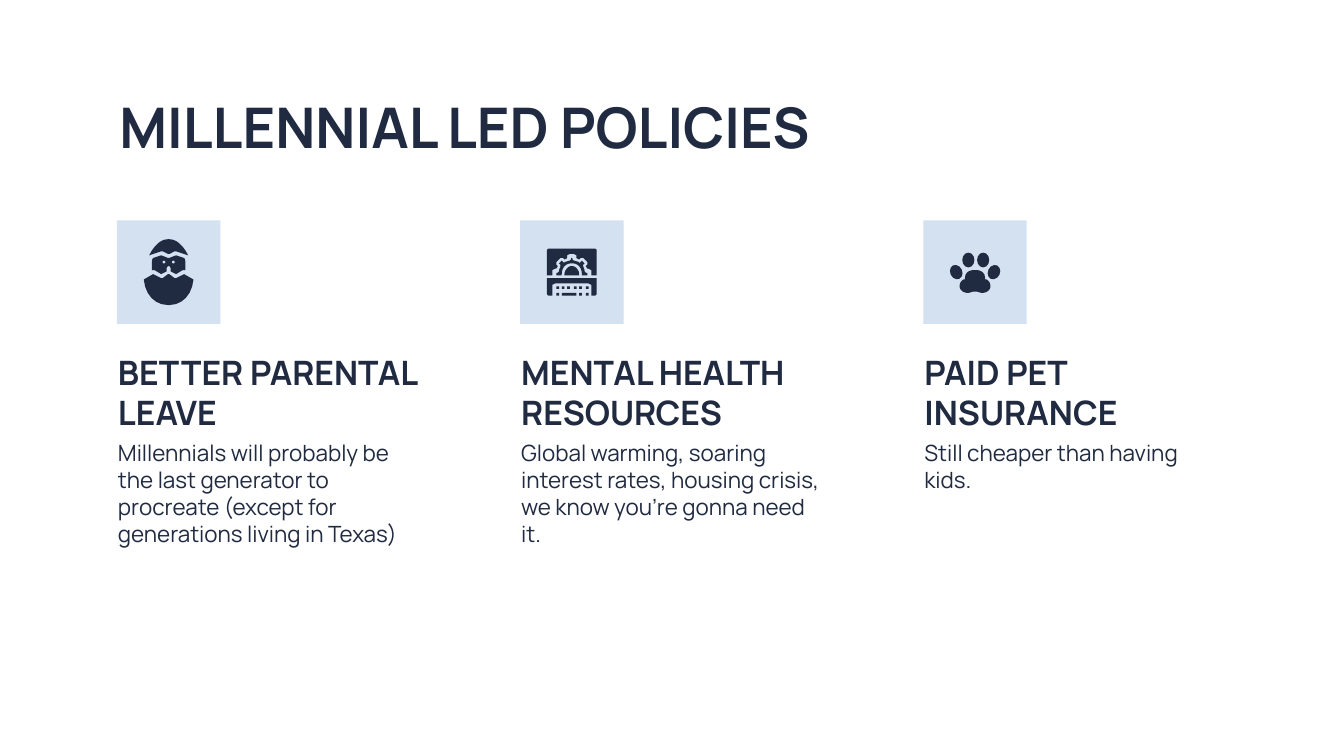
from pptx import Presentation
from pptx.dml.color import RGBColor
from pptx.enum.shapes import MSO_SHAPE
from pptx.enum.text import MSO_ANCHOR
from pptx.util import Emu, Pt

NAVY = RGBColor(0x20, 0x2A, 0x41)
PALE = RGBColor(0xD3, 0xE1, 0xF1)
FONT = "Manrope"
PX = 9144  # 100 px to the inch
TILE = 77
STEPS = 6  # line pieces in each curve

# Left halves of the icon outlines, from the top middle to the bottom middle
BEARD = "M 38 40 L 34 43 L 33 43 L 27 40 L 20 44 C 21 55 28 63 38 63"
MASK = ("M 38 28 L 33 26 L 27 28 C 26 29 26 31 26 33 C 26 35 26 36 26 37 "
        "L 28 37 L 33 40 L 37 38 L 37 36 C 37 35 38 34 38 34")
HAIR = "M 38 14 C 33 14 28 18 24 26 L 33 23 L 34 23 L 38 25"
PANEL = ("M 38 25 L 37 25 L 35 26 L 35 28 C 35 28 34 29 33 29 L 32 28 L 30 28 "
         "L 27 31 L 27 33 L 28 34 C 28 35 27 35 27 36 L 26 36 L 24 37 L 24 41 "
         "L 20 41 L 20 22 L 21 21 L 38 21")
GEAR = ("M 38 28 L 38 29 L 37 30 C 36 30 34 31 33 31 L 33 32 L 32 31 L 31 30 "
        "L 29 32 L 30 33 L 30 34 C 30 35 29 36 29 38 L 28 39 L 27 39 L 27 41 "
        "L 31 41 L 31 40 C 31 35 34 32 38 32")
HUB = "M 38 34 C 36 34 33 37 33 40 L 33 41 L 38 41"
BASE = "M 38 43 L 20 43 L 20 55 L 21 56 L 24 56 L 24 48 L 26 47 L 38 47"
PAD = ("M 38 37 C 37 37 31 37 31 43 C 31 44 31 44 30 44 C 28 45 27 47 27 49 "
       "C 27 52 30 54 33 54 C 35 54 36 53 38 53")


def paint(shape, color):
    shape.shadow.inherit = False
    shape.fill.solid()
    shape.fill.fore_color.rgb = color
    shape.line.fill.background()


def block(slide, kind, box, color, turn=0):
    shape = slide.shapes.add_shape(kind, *(Emu(n * PX) for n in box))
    shape.rotation = turn
    paint(shape, color)


def trace(path):
    """Turn a path of M, L and C steps into points."""
    words = path.split()
    points = []
    while words:
        count = 6 if words.pop(0) == "C" else 2
        nums = [int(word) for word in words[:count]]
        del words[:count]
        pairs = list(zip(nums[::2], nums[1::2]))
        if count == 2:
            points += pairs
            continue
        knots = [points[-1]] + pairs
        for step in range(1, STEPS + 1):
            t = step / STEPS
            parts = ((1 - t) ** 3, 3 * t * (1 - t) ** 2, 3 * t * t * (1 - t), t ** 3)
            points.append(tuple(sum(p * k[axis] for p, k in zip(parts, knots))
                                for axis in (0, 1)))
    return points


def mirror(slide, left, top, half):
    """Draw a half outline together with its reflection in the tile."""
    points = trace(half)
    points += [(TILE - x, y) for x, y in reversed(points)]
    points = [(x * PX, y * PX) for x, y in points]
    pen = slide.shapes.build_freeform(*points[0], scale=1.0)
    pen.add_line_segments(points[1:], close=True)
    paint(pen.convert_to_shape(Emu(left * PX), Emu(top * PX)), NAVY)


def face(slide, left, top):
    for half in (BEARD, MASK, HAIR):
        mirror(slide, left, top, half)
    for x in (34, 41):
        block(slide, MSO_SHAPE.OVAL, (left + x, top + 30, 2, 2), PALE)


def laptop(slide, left, top):
    for half in (PANEL, GEAR, HUB, BASE):
        mirror(slide, left, top, half)
    cols = [27 + 22 * i // 5 for i in range(6)]
    keys = [(x, 49, 2) for x in cols]
    keys += [(x, 54, 2) for x in cols if x not in cols[1:4]]
    keys.append((cols[1], 54, 11))  # space bar
    for x, y, wide in keys:
        block(slide, MSO_SHAPE.RECTANGLE, (left + x, top + y, wide, 2), NAVY)


def paw(slide, left, top):
    mirror(slide, left, top, PAD)
    for x, y, turn in ((20, 33, -25), (29, 24, 0), (40, 24, 0), (48, 33, 25)):
        block(slide, MSO_SHAPE.OVAL, (left + x, top + y, 9, 11), NAVY, turn)


def write(slide, box, text, size, bold=False, anchor=MSO_ANCHOR.TOP):
    frame = slide.shapes.add_textbox(*(Emu(n * PX) for n in box)).text_frame
    frame.word_wrap = True
    frame.vertical_anchor = anchor
    frame.margin_left = frame.margin_right = Emu(10 * PX)
    frame.margin_top = frame.margin_bottom = Emu(10 * PX)
    line = frame.paragraphs[0]
    line.text = text
    line.font.name = FONT
    line.font.size = Pt(size)
    line.font.bold = bold
    line.font.color.rgb = NAVY


def column(slide, left, top, wide, icon, head, body):
    """Place a tile with its icon, a heading and a text."""
    block(slide, MSO_SHAPE.RECTANGLE, (left + 9, top, TILE, TILE), PALE)
    icon(slide, left + 9, top)
    write(slide, (left, top + 91, wide, 77), head, 18, True, MSO_ANCHOR.BOTTOM)
    write(slide, (left, top + 153, 243, 215), body, 12)


def main():
    deck = Presentation()
    deck.slide_width = Emu(1000 * PX)
    deck.slide_height = Emu(deck.slide_width * 9 // 16)
    slide = deck.slides.add_slide(deck.slide_layouts[6])

    # Title
    write(slide, (79, 59, 843, 63), "MILLENNIAL LED POLICIES", 30, True)

    # Three policies
    items = (
        (277, face, "BETTER PARENTAL LEAVE",
         "Millennials will probably be the last generator to procreate "
         "(except for generations living in Texas)"),
        (243, laptop, "MENTAL HEALTH RESOURCES",
         "Global warming, soaring interest rates, housing crisis, "
         "we know you’re gonna need it."),
        (243, paw, "PAID PET INSURANCE", "Still cheaper than having kids."),
    )
    for i, item in enumerate(items):
        column(slide, 78 + 300 * i, 164, *item)

    deck.save("out.pptx")


if __name__ == "__main__":
    main()
